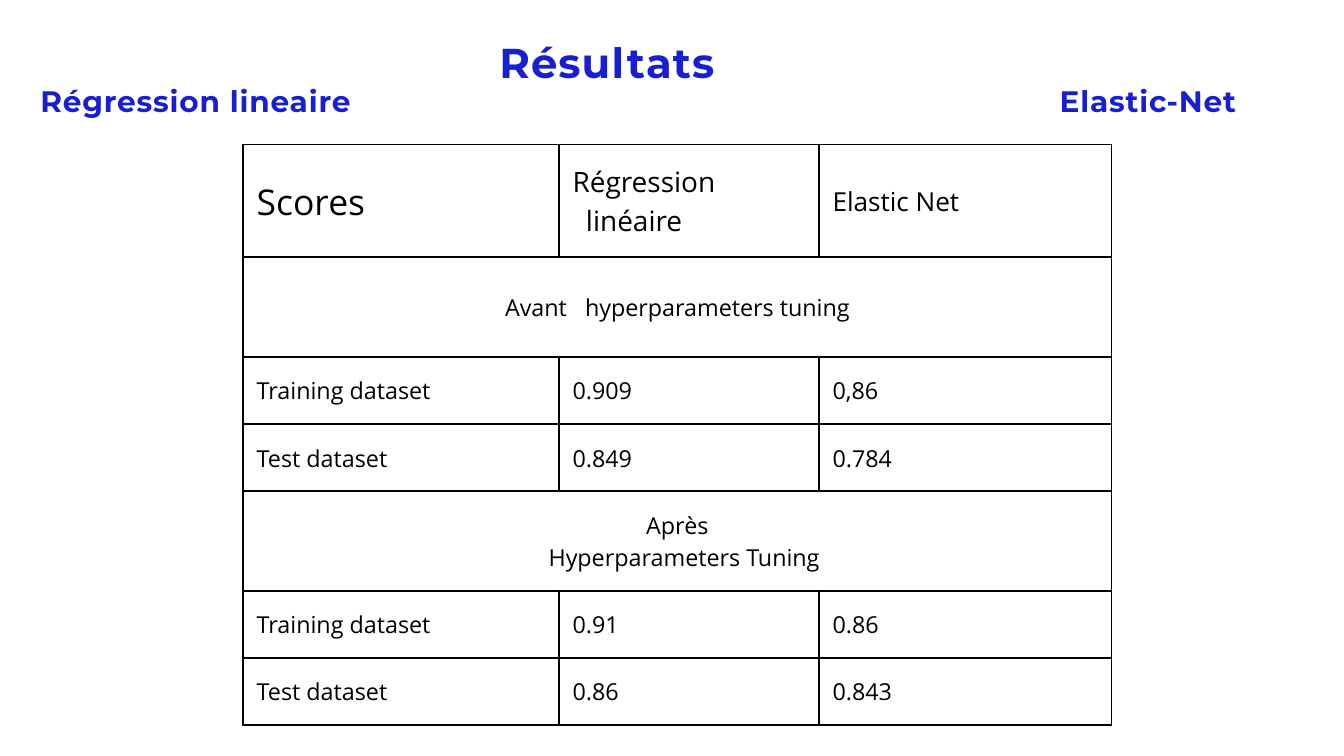
"""Build the results slide comparing linear regression and Elastic-Net scores."""
from dataclasses import dataclass

from lxml import etree
from pptx import Presentation
from pptx import util as u
from pptx.dml.color import RGBColor
from pptx.enum import text
from pptx.oxml.ns import qn


@dataclass(frozen=True)
class Theme:
    blue: RGBColor = RGBColor(0x17, 0x1F, 0xD0)
    black: RGBColor = RGBColor(0, 0, 0)
    heading_font: str = "Montserrat"
    body_font: str = "Open Sans"
    title: float = 44.7
    subtitle: float = 31.7
    scores: float = 38
    linear: float = 30
    elastic: float = 28
    body: float = 25
    leading: float = 1.4
    padding: float = 0.2
    rule: float = 2.25


THEME = Theme()
WIDTH, HEIGHT = 20, 11.25
TITLE = ("Résultats", 7.43, 0.42, 8.59, 0.82)
SUBTITLES = [
    ("Régression lineaire", 0.6, 1.15, 6.04, 0.6),
    ("Elastic-Net", 15.77, 1.15, 4.23, 0.6),
]
HEADERS = [("Scores", THEME.scores), ("Régression\nlinéaire", THEME.linear), ("Elastic Net", THEME.elastic)]
STAGES = [
    ("Avant hyperparameters tuning",
     [("Training dataset", "0.909", "0,86"), ("Test dataset", "0.849", "0.784")]),
    ("Après\nHyperparameters Tuning",
     [("Training dataset", "0.91", "0.86"), ("Test dataset", "0.86", "0.843")]),
]
TABLE_LEFT, TABLE_TOP = 3.62, 2.15
COLUMNS = [4.7, 3.87, 4.35]
HEADER_ROW, STAGE_ROW, SCORE_ROW = 1.68, 1.48, 1
SECOND_LINE_INDENT = 0.2
WIDE_SPACE = 13


def track(run, points):
    run._r.get_or_add_rPr().set("spc", str(round(points * 100)))


def style(paragraph, font, size, color, bold=False):
    paragraph.line_spacing = u.Pt(round(size * THEME.leading, 1))
    for run in paragraph.runs:
        run.font.name, run.font.size, run.font.bold = font, u.Pt(size), bold
        run.font.color.rgb = color


def write_heading(shape, content, size, tracking):
    wording, *box = content
    shape.left, shape.top, shape.width, shape.height = map(u.Inches, box)
    frame = shape.text_frame
    frame.text = wording
    frame.word_wrap = True
    frame.auto_size = text.MSO_AUTO_SIZE.NONE
    frame.vertical_anchor = text.MSO_ANCHOR.TOP
    frame.margin_left = frame.margin_right = frame.margin_top = frame.margin_bottom = 0
    paragraph = frame.paragraphs[0]
    paragraph.alignment = text.PP_ALIGN.LEFT
    style(paragraph, THEME.heading_font, size, THEME.blue, bold=True)
    track(paragraph.runs[0], tracking)


def draw_borders(cell):
    properties = cell._tc.get_or_add_tcPr()
    for position, side in enumerate(("lnL", "lnR", "lnT", "lnB")):
        line = etree.Element(qn(f"a:{side}"), w=str(u.Pt(THEME.rule)))
        fill = etree.SubElement(line, qn("a:solidFill"))
        etree.SubElement(fill, qn("a:srgbClr"), val=str(THEME.black))
        properties.insert(position, line)


def write_cell(cell, wording, size=THEME.body, alignment=text.PP_ALIGN.LEFT):
    cell.text_frame.text = wording
    cell.vertical_anchor = text.MSO_ANCHOR.MIDDLE
    cell.margin_left = cell.margin_right = u.Inches(THEME.padding)
    cell.margin_top = cell.margin_bottom = u.Inches(THEME.padding)
    for number, paragraph in enumerate(cell.text_frame.paragraphs):
        paragraph.alignment = alignment
        if number:
            paragraph._p.get_or_add_pPr().set("marL", str(u.Inches(SECOND_LINE_INDENT)))
        style(paragraph, THEME.body_font, size, THEME.black)


def widen_first_space(paragraph):
    first, rest = paragraph.runs[0].text.split(" ", 1)
    paragraph.runs[0].text = first
    for wording in (" ", rest):
        paragraph.add_run().text = wording
    style(paragraph, THEME.body_font, THEME.body, THEME.black)
    track(paragraph.runs[1], WIDE_SPACE)


def add_scores(slide):
    heights = [HEADER_ROW]
    for _, scores in STAGES:
        heights += [STAGE_ROW] + [SCORE_ROW] * len(scores)
    box = map(u.Inches, (TABLE_LEFT, TABLE_TOP, sum(COLUMNS), sum(heights)))
    table = slide.shapes.add_table(len(heights), len(COLUMNS), *box).table
    table.first_row = table.horz_banding = False
    for column, width in zip(table.columns, COLUMNS):
        column.width = u.Inches(width)
    for row, height in zip(table.rows, heights):
        row.height = u.Inches(height)
    for cell in table.iter_cells():
        cell.fill.background()
        draw_borders(cell)

    for column, (wording, size) in enumerate(HEADERS):
        write_cell(table.cell(0, column), wording, size)
    row = 1
    for stage, scores in STAGES:
        banner = table.cell(row, 0)
        banner.merge(table.cell(row, len(COLUMNS) - 1))
        write_cell(banner, stage, alignment=text.PP_ALIGN.CENTER)
        if "\n" not in stage:
            widen_first_space(banner.text_frame.paragraphs[0])
        for row, values in enumerate(scores, row + 1):
            for column, value in enumerate(values):
                write_cell(table.cell(row, column), value)
        row += 1


def main():
    deck = Presentation()
    deck.slide_width, deck.slide_height = u.Inches(WIDTH), u.Inches(HEIGHT)
    slide = deck.slides.add_slide(deck.slide_layouts.get_by_name("Title Only"))
    add_scores(slide)
    write_heading(slide.shapes.title, TITLE, THEME.title, 1.2)
    for subtitle in SUBTITLES:
        write_heading(slide.shapes.add_textbox(0, 0, 0, 0), subtitle, THEME.subtitle, 0.9)
    deck.save("out.pptx")


if __name__ == "__main__":
    main()
